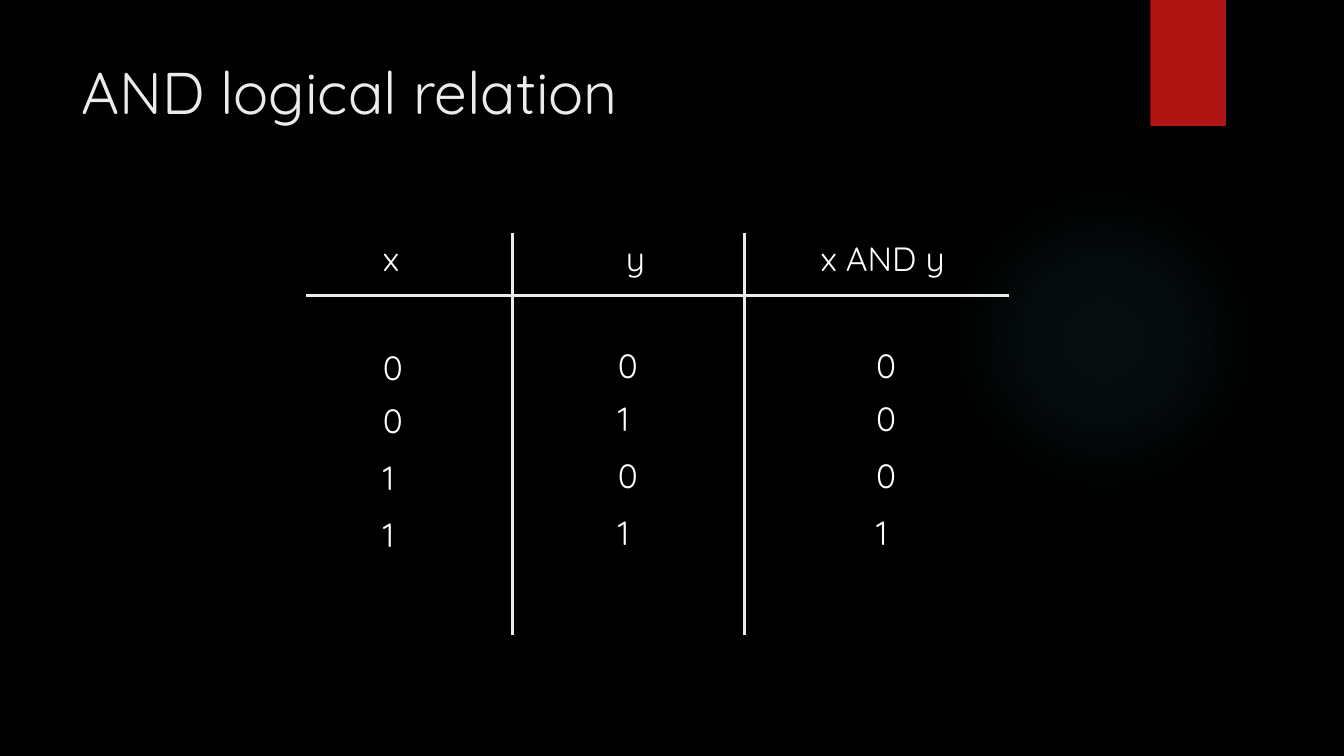
from lxml.etree import SubElement
from pptx import Presentation
from pptx.dml.color import RGBColor
from pptx.enum.shapes import MSO_CONNECTOR, MSO_SHAPE
from pptx.enum.text import MSO_ANCHOR, MSO_AUTO_SIZE, PP_ALIGN
from pptx.oxml import parse_xml
from pptx.oxml.ns import nsdecls, qn
from pptx.util import Inches, Pt

TITLE = "AND logical relation"
# header, header left, header width, value left, top shift of values, values
COLUMNS = [
    ("x", 3.7, 0.36, 3.7, 0.02, "0011"),
    ("y", 6.11, 0.38, 6.03, 0, "0101"),
    ("x AND y", 8.04, 1.48, 8.59, 0, "0001"),
]
HEADER_TOP = 2.31
ROW_TOPS = [3.37, 3.9, 4.46, 5.03]
VALUE_WIDTH, ROW_HEIGHT = 0.39, 0.5
RULES = [
    (3.04, 2.93, 10.01, 2.93),
    (5.08, HEADER_TOP, 5.08, 6.3),
    (7.38, HEADER_TOP, 7.38, 6.3),
]
GLOW_STOPS = [(0, 7), (36, 6), (69, 0)]  # position and opacity, percent
FONT = "Quicksand"
COLORS = {
    "background": "000000",
    "glow": "50B9C1",
    "ribbon": "B01513",
    "title": "EBEBEB",
    "rule": "EBEBEB",
    "cell": "FFFFFF",
}


def color(name):
    return RGBColor.from_string(COLORS[name])


def add_run(paragraph, text, size, color_name):
    run = paragraph.add_run()
    run.text = text
    run.font.name = FONT
    run.font.size = Pt(size)
    run.font.color.rgb = color(color_name)


def add_decor(slide, preset, left, top, width, height):
    """Add a borderless preset shape."""
    decor = slide.shapes.add_shape(
        preset, Inches(left), Inches(top), Inches(width), Inches(height))
    decor.shadow.inherit = False
    decor.line.fill.background()
    return decor


def add_glow(slide):
    glow = add_decor(slide, MSO_SHAPE.OVAL, 9.41, 1.83, 3.08, 3.08)
    stops = "".join(
        f'<a:gs pos="{position * 1000}"><a:srgbClr val="{COLORS["glow"]}">'
        f'<a:alpha val="{opacity * 1000}"/></a:srgbClr></a:gs>'
        for position, opacity in GLOW_STOPS)
    gradient = parse_xml(
        f'<a:gradFill {nsdecls("a")}><a:gsLst>{stops}</a:gsLst>'
        '<a:path path="circle"><a:fillToRect l="50000" t="50000" r="50000" b="50000"/>'
        '</a:path></a:gradFill>')
    glow._element.spPr.find(qn("a:prstGeom")).addnext(gradient)


def add_ribbon(slide):
    ribbon = add_decor(slide, MSO_SHAPE.RECTANGLE, 11.41, 0, 0.75, 1.25)
    ribbon.fill.solid()
    ribbon.fill.fore_color.rgb = color("ribbon")
    effects = ribbon._element.spPr.find(qn("a:effectLst"))
    effects.append(parse_xml(
        f'<a:outerShdw {nsdecls("a")} blurRad="{Pt(3)}" dist="{Pt(2)}" dir="5400000" '
        'rotWithShape="0"><a:srgbClr val="000000"><a:alpha val="45000"/></a:srgbClr>'
        '</a:outerShdw>'))


def add_title(slide):
    title = slide.shapes.title
    title.left, title.top = Inches(0.71), Inches(0.5)
    title.width, title.height = Inches(10.29), Inches(1.53)
    title.text_frame.vertical_anchor = MSO_ANCHOR.TOP
    paragraph = title.text_frame.paragraphs[0]
    paragraph.alignment = PP_ALIGN.LEFT
    add_run(paragraph, TITLE, 42, "title")


def add_rule(slide, x1, y1, x2, y2):
    rule = slide.shapes.add_connector(
        MSO_CONNECTOR.STRAIGHT, Inches(x1), Inches(y1), Inches(x2), Inches(y2))
    rule.line.color.rgb = color("rule")
    rule.line.width = Pt(2.25)
    SubElement(rule._element.spPr, qn("a:effectLst"))


def add_cell(slide, text, left, top, width):
    cell = slide.shapes.add_textbox(
        Inches(left), Inches(top), Inches(width), Inches(ROW_HEIGHT))
    cell.text_frame.word_wrap = False
    cell.text_frame.auto_size = MSO_AUTO_SIZE.SHAPE_TO_FIT_TEXT
    add_run(cell.text_frame.paragraphs[0], text, 24, "cell")


def main():
    prs = Presentation()
    prs.slide_width, prs.slide_height = Inches(13.33), Inches(7.5)
    slide = prs.slides.add_slide(prs.slide_layouts[5])
    slide.background.fill.solid()
    slide.background.fill.fore_color.rgb = color("background")

    add_glow(slide)
    add_ribbon(slide)
    add_title(slide)
    for rule in RULES:
        add_rule(slide, *rule)
    for header, header_left, header_width, value_left, shift, values in COLUMNS:
        add_cell(slide, header, header_left, HEADER_TOP, header_width)
        for value, top in zip(values, ROW_TOPS):
            add_cell(slide, value, value_left, top + shift, VALUE_WIDTH)

    prs.save("out.pptx")


if __name__ == "__main__":
    main()
